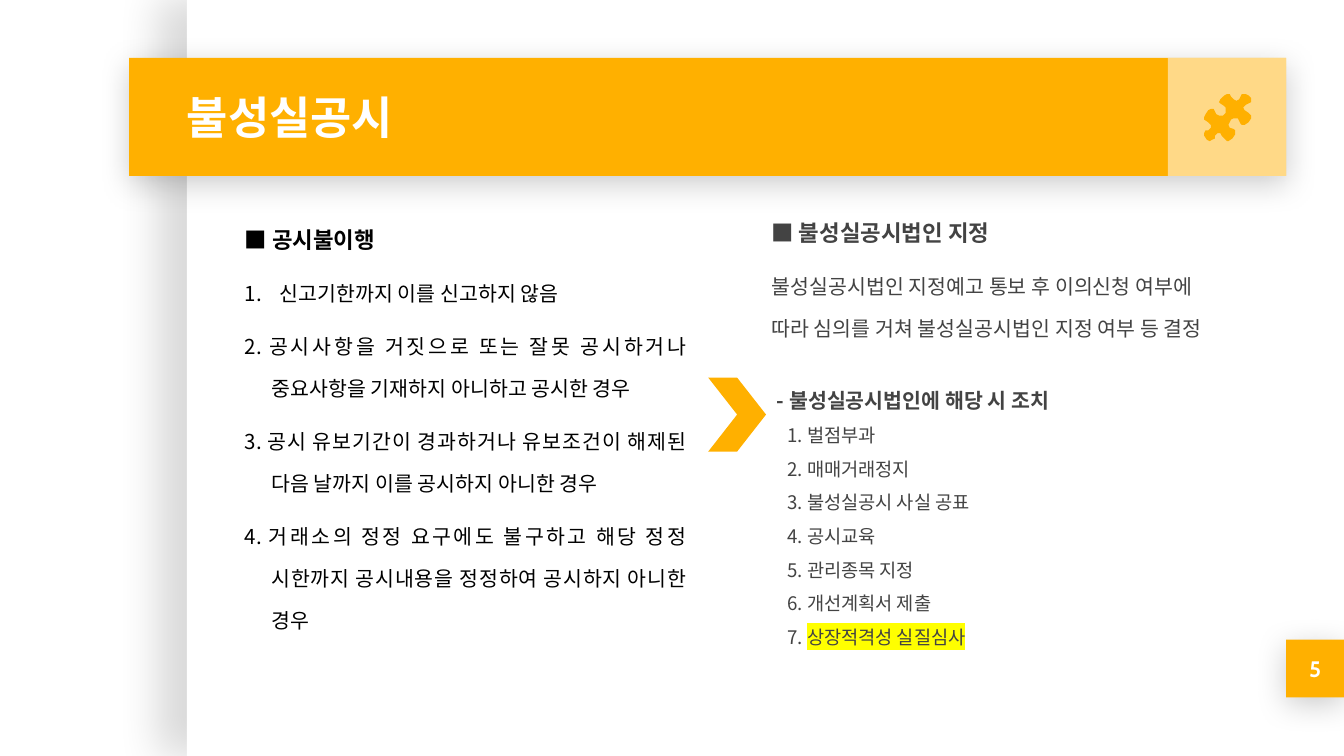
from dataclasses import dataclass

from lxml import etree
from pptx import Presentation
from pptx.dml.color import RGBColor
from pptx.enum.shapes import MSO_SHAPE
from pptx.enum.text import MSO_ANCHOR, MSO_AUTO_SIZE, PP_ALIGN
from pptx.oxml.ns import qn
from pptx.util import Inches, Pt

RECTANGLE, CHEVRON = MSO_SHAPE.RECTANGLE, MSO_SHAPE.CHEVRON
LEFT, CENTER, JUSTIFY = PP_ALIGN.LEFT, PP_ALIGN.CENTER, PP_ALIGN.JUSTIFY
TOP, MIDDLE = MSO_ANCHOR.TOP, MSO_ANCHOR.MIDDLE

AMBER = RGBColor(0xFF, 0xB0, 0x00)
WHITE = RGBColor(0xFF, 0xFF, 0xFF)
BLACK = RGBColor(0x00, 0x00, 0x00)
GRAY = RGBColor(0x43, 0x43, 0x43)
YELLOW = RGBColor(0xFF, 0xFF, 0x00)
KOREAN, LATIN = "Noto Sans CJK KR", "Cabin"

# Outline of the puzzle piece, in hundredths of an inch on the slide
PUZZLE = [
    (913, 70), (911, 71), (908, 74), (907, 76), (908, 77), (911, 79),
    (912, 80), (912, 84), (910, 86), (907, 86), (905, 85), (904, 83),
    (903, 81), (901, 81), (899, 82), (897, 85), (896, 87), (896, 89),
    (899, 91), (901, 93), (901, 95), (899, 97), (897, 97), (896, 99),
    (896, 101), (898, 104), (900, 105), (902, 104), (904, 103), (904, 101),
    (906, 99), (908, 99), (909, 101), (911, 103), (913, 105), (914, 105),
    (917, 103), (919, 100), (919, 97), (918, 96), (915, 95), (914, 93),
    (915, 91), (916, 89), (918, 88), (921, 88), (922, 90), (923, 92),
    (924, 93), (926, 93), (929, 91), (931, 88), (931, 86), (929, 84),
    (926, 82), (925, 80), (927, 78), (929, 77), (931, 76), (931, 73),
    (929, 71), (927, 70), (924, 70), (923, 72), (922, 74), (920, 75),
    (918, 74), (916, 72), (915, 70),
]


@dataclass
class Shadow:
    opacity: int
    blur: float
    distance: float
    direction: int


@dataclass
class Line:
    text: str
    size: float
    bold: bool = False
    spacing: float = 1.0
    before: float = 6
    margin: float = 0
    indent: float = 0
    marked: str = ""


def draw_shape(slide, kind, left: float, top: float, width: float, height: float,
               color: RGBColor, shadow: Shadow | None = None, opacity: int = 100):
    shape = slide.shapes.add_shape(
        kind, Inches(left), Inches(top), Inches(width), Inches(height))
    paint(shape, color)
    properties = shape._element.spPr
    if opacity < 100:
        fill_color = properties.find(qn("a:solidFill"))[0]
        etree.SubElement(fill_color, qn("a:alpha"), val=str(opacity * 1000))
    if shadow:
        outer = etree.SubElement(
            properties.find(qn("a:effectLst")), qn("a:outerShdw"),
            blurRad=str(Pt(shadow.blur)), dist=str(Pt(shadow.distance)),
            dir=str(shadow.direction * 60000), algn="bl", rotWithShape="0")
        shade = etree.SubElement(outer, qn("a:srgbClr"), val=str(BLACK))
        etree.SubElement(shade, qn("a:alpha"), val=str(shadow.opacity * 1000))
    return shape


def paint(shape, color: RGBColor) -> None:
    shape.fill.solid()
    shape.fill.fore_color.rgb = color
    shape.line.fill.background()
    shape.shadow.inherit = False


def style_font(font, size: float, color: RGBColor, bold: bool, name: str) -> None:
    font.size, font.bold, font.name = Pt(size), bold, name
    font.color.rgb = color


def set_frame(frame, anchor) -> None:
    frame.word_wrap = True
    frame.auto_size = MSO_AUTO_SIZE.NONE
    frame.vertical_anchor = anchor
    frame.margin_left = frame.margin_right = Inches(0.1)
    frame.margin_top = frame.margin_bottom = Inches(0.1)


def fill_text(shape, lines: list[Line], color: RGBColor, align, anchor=TOP,
              name: str = KOREAN) -> None:
    frame = shape.text_frame
    set_frame(frame, anchor)
    for number, line in enumerate(lines):
        paragraph = frame.add_paragraph() if number else frame.paragraphs[0]
        paragraph.alignment = align
        paragraph.line_spacing = line.spacing
        paragraph.space_before = Pt(line.before if number else 0)
        paragraph.space_after = Pt(0)
        properties = paragraph._p.get_or_add_pPr()
        properties.set("marL", str(Inches(line.margin)))
        properties.set("indent", str(Inches(line.indent)))
        etree.SubElement(properties, qn("a:buNone"))
        style_font(paragraph.font, line.size, color, line.bold, name)
        paragraph.add_run().text = line.text
        if line.marked:
            run = paragraph.add_run()
            run.text = line.marked
            highlight = etree.SubElement(run._r.get_or_add_rPr(), qn("a:highlight"))
            etree.SubElement(highlight, qn("a:srgbClr"), val=str(YELLOW))


def place(slide, placeholder, left: float, top: float, width: float, height: float) -> None:
    placeholder.left, placeholder.top = Inches(left), Inches(top)
    placeholder.width, placeholder.height = Inches(width), Inches(height)
    slide.shapes._spTree.append(placeholder._element)  # bring above the panels


presentation = Presentation()
presentation.slide_width = Inches(10)
presentation.slide_height = presentation.slide_width * 9 // 16
slide = presentation.slides.add_slide(presentation.slide_layouts[3])
title, failures, designation = slide.placeholders

# Page panel, page number, header band and icon tile
page_shadow = Shadow(15, 22.5, 15, 180)
band_shadow = Shadow(20, 16.9, 3.8, 90)
page_height = presentation.slide_height.inches
draw_shape(slide, RECTANGLE, 1.39, 0, 8.61, page_height, WHITE, page_shadow)
page_number = draw_shape(slide, RECTANGLE, 9.57, 4.76, 0.43, 0.43, AMBER, band_shadow)
fill_text(page_number, [Line("5", 12, True)], WHITE, CENTER, MIDDLE, LATIN)
draw_shape(slide, RECTANGLE, 0.96, 0.43, 8.61, 0.88, AMBER, band_shadow)
draw_shape(slide, RECTANGLE, 8.69, 0.43, 0.88, 0.88, WHITE, opacity=53)

# Title
place(slide, title, 1.29, 0.43, 7.37, 0.88)
fill_text(title, [Line("불성실공시", 24, True)], WHITE, LEFT, MIDDLE)

# Left column: failures to disclose
hanging = dict(size=11, spacing=1.7, margin=0.2, indent=-0.2)
place(slide, failures, 1.72, 1.42, 3.49, 3.77)
fill_text(failures, [
    Line("■ 공시불이행", 12, True, 1.8),
    Line("1.\t신고기한까지 이를 신고하지 않음", 11, spacing=1.7, margin=0.26, indent=-0.26),
    Line("2.\u00a0공시사항을 거짓으로 또는 잘못 공시하거나 중요사항을 기재하지 아니하고 공시한 경우", **hanging),
    Line("3.\u00a0공시 유보기간이 경과하거나 유보조건이 해제된 다음 날까지 이를 공시하지 아니한 경우", **hanging),
    Line("4.\u00a0거래소의 정정 요구에도 불구하고 해당 정정 시한까지 공시내용을 정정하여 공시하지 아니한 경우", **hanging),
], BLACK, JUSTIFY)

# Right column: designation and the measures that follow
measures = ["벌점부과", "매매거래정지", "불성실공시 사실 공표", "공시교육", "관리종목 지정", "개선계획서 제출"]
place(slide, designation, 5.64, 1.53, 3.64, 3.65)
fill_text(designation, [
    Line("■ 불성실공시법인 지정", 12, True),
    Line("불성실공시법인 지정예고 통보 후 이의신청 여부에 따라 심의를 거쳐 불성실공시법인 지정 여부 등 결정", 11, spacing=1.7),
    Line("- 불성실공시법인에 해당 시 조치", 11, True, before=25.2, margin=0.04),
    *[Line(f"{number}. {measure}", 10, margin=0.12)
      for number, measure in enumerate(measures, 1)],
    Line(f"{len(measures) + 1}. ", 10, margin=0.12, marked="상장적격성 실질심사"),
], GRAY, LEFT)

# Puzzle icon and chevron
outline = slide.shapes.build_freeform(*PUZZLE[0], scale=Inches(0.01))
outline.add_line_segments(PUZZLE[1:], close=True)
paint(outline.convert_to_shape(), AMBER)
draw_shape(slide, CHEVRON, 5.27, 2.81, 0.43, 0.55, AMBER)

presentation.save("out.pptx")
